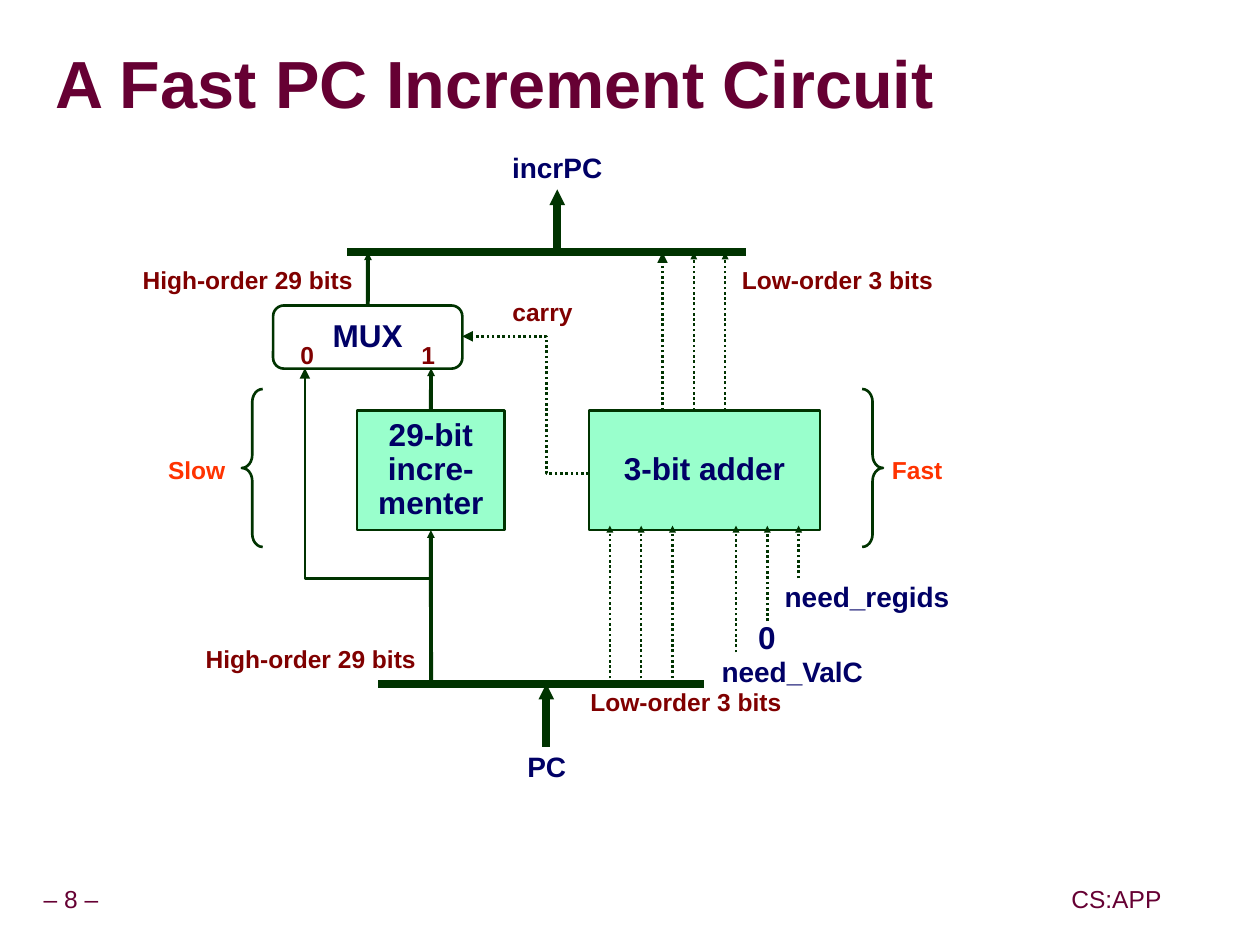
from dataclasses import dataclass

from lxml.etree import SubElement
from pptx import Presentation
from pptx.dml.color import RGBColor
from pptx.enum.dml import MSO_LINE as Dash
from pptx.enum.shapes import MSO_CONNECTOR as Connector, MSO_SHAPE as Preset
from pptx.enum.text import MSO_ANCHOR as Anchor, MSO_AUTO_SIZE as AutoSize, PP_ALIGN as Align
from pptx.oxml import parse_xml
from pptx.oxml.ns import nsdecls, qn
from pptx.util import Cm, Pt


@dataclass(frozen=True)
class Theme:
    font: str = "Arial"
    heading: RGBColor = RGBColor(0x66, 0x00, 0x33)
    signal: RGBColor = RGBColor(0x00, 0x00, 0x66)
    wire: RGBColor = RGBColor(0x00, 0x33, 0x00)
    block: RGBColor = RGBColor(0x99, 0xFF, 0xCC)
    bits: RGBColor = RGBColor(0x80, 0x00, 0x00)
    speed: RGBColor = RGBColor(0xFF, 0x33, 0x00)
    title_size: int = 38
    block_size: int = 18
    signal_size: int = 16
    note_size: int = 14
    thin: float = 1.5
    medium: float = 2.25
    thick: float = 4.5


THEME = Theme()
TOP, BOTTOM = 0, 2
PITCH = 0.63
UPPER_BUS, LOWER_BUS = 5.08, 13.76


def write(frame, text, size=THEME.note_size, color=THEME.bits, bold=True, align=Align.CENTER,
          anchor=Anchor.TOP, wrap=False, inset=0.13, spacing=0.9):
    frame.auto_size = AutoSize.NONE
    frame.word_wrap = wrap
    frame.vertical_anchor = anchor
    frame.margin_left = frame.margin_right = Cm(inset)
    frame.margin_top = frame.margin_bottom = Cm(inset)
    for index, line in enumerate(text.split("\n")):
        para = frame.paragraphs[0] if index == 0 else frame.add_paragraph()
        para.alignment = align
        para.line_spacing = spacing
        span = para.add_run()
        span.text = line
        span.font.name = THEME.font
        span.font.size = Pt(size)
        span.font.bold = bold
        span.font.color.rgb = color


def add_title(page, text):
    title = page.shapes.title
    title.left, title.top, title.width, title.height = Cm(1.12), Cm(0.69), Cm(24.18), Cm(2.16)
    write(title.text_frame, text, size=THEME.title_size, color=THEME.heading, align=Align.LEFT,
          anchor=Anchor.MIDDLE, wrap=True, inset=0, spacing=0.87)
    span = title.text_frame.paragraphs[0].runs[0]
    shadow = parse_xml(
        f'<a:effectLst {nsdecls("a")}><a:outerShdw dist="56000" dir="2700000">'
        '<a:srgbClr val="969696"/></a:outerShdw></a:effectLst>')
    span.font._element.find(qn("a:solidFill")).addnext(shadow)


def add_label(page, text, left, top, width, size=THEME.note_size, **look):
    box = page.shapes.add_textbox(Cm(left), Cm(top), Cm(width), Cm(size * 0.055))
    write(box.text_frame, text, size=size, **look)


def style_line(line, width, dotted=False, head=None):
    line.color.rgb = THEME.wire
    line.width = Pt(width)
    if dotted:
        line.dash_style = Dash.ROUND_DOT
    if head:
        SubElement(line._get_or_add_ln(), qn("a:tailEnd"), type="triangle", w=head, len=head)


def add_wire(page, start, end, width=THEME.thin, dotted=False, head="sm", source=None, target=None):
    wire = page.shapes.add_connector(
        Connector.STRAIGHT, Cm(start[0]), Cm(start[1]), Cm(end[0]), Cm(end[1]))
    if source:
        wire.begin_connect(source, TOP)
    if target:
        wire.end_connect(target, BOTTOM)
    style_line(wire.line, width, dotted, head)
    SubElement(wire._element.spPr, qn("a:effectLst"))


def add_bent_wire(page, points, dotted=False):
    start, *rest = [(Cm(x), Cm(y)) for x, y in points]
    builder = page.shapes.build_freeform(*start)
    builder.add_line_segments(rest, close=False)
    wire = builder.convert_to_shape()
    wire.shadow.inherit = False
    wire.fill.background()
    style_line(wire.line, THEME.thin, dotted, "med")


def add_outline(page, preset, left, top, width, height, fill=None, adjust=None):
    shape = page.shapes.add_shape(preset, Cm(left), Cm(top), Cm(width), Cm(height))
    shape.shadow.inherit = False
    if adjust is not None:
        shape.adjustments[0] = adjust
    if fill is None:
        shape.fill.background()
    else:
        shape.fill.solid()
        shape.fill.fore_color.rgb = fill
    style_line(shape.line, THEME.thin)
    return shape


def add_block(page, text, *area, preset=Preset.RECTANGLE, **look):
    block = add_outline(page, preset, *area, **look)
    write(block.text_frame, text, size=THEME.block_size, color=THEME.signal, anchor=Anchor.MIDDLE)
    return block


def add_wires(page):
    for index in range(3):
        low_bit = 12.28 + PITCH * index
        need = 14.82 + PITCH * index
        result = 13.34 + PITCH * index
        add_wire(page, (low_bit, LOWER_BUS), (low_bit, 10.58), dotted=True)
        add_wire(page, (need, (13.13, 12.5, 11.64)[index]), (need, 10.58), dotted=True)
        add_wire(page, (result, 8.26), (result, UPPER_BUS), dotted=True,
                 head="sm" if index else "med")
    add_wire(page, (7.62, LOWER_BUS), (14.18, LOWER_BUS), THEME.thick, head=None)
    add_wire(page, (11, 15.03), (11, LOWER_BUS), THEME.thick)
    add_wire(page, (6.99, UPPER_BUS), (15.03, UPPER_BUS), THEME.thick, head=None)
    add_wire(page, (11.22, UPPER_BUS), (11.22, 3.81), THEME.thick)
    add_bent_wire(page, [(8.68, 11.64), (6.14, 11.64), (6.14, 7.41)])
    add_bent_wire(page, [(11.86, 9.53), (11, 9.53), (11, 6.77), (9.31, 6.77)], dotted=True)


def add_labels(page):
    signal = dict(size=THEME.signal_size, color=THEME.signal)
    add_label(page, "need_ValC", 14.4, 13.13, 3.12, align=Align.LEFT, **signal)
    add_label(page, "need_regids", 15.67, 11.61, 3.58, align=Align.LEFT, **signal)
    add_label(page, "0", 15.14, 12.4, 0.61, size=THEME.block_size, color=THEME.signal)
    add_label(page, "PC", 9.32, 15.04, 3.38, wrap=True, **signal)
    add_label(page, "incrPC", 9.53, 2.97, 3.38, wrap=True, **signal)
    for text, left, top, width in (
        ("High-order 29 bits", 4.01, 12.9, 4.5),
        ("Low-order 3 bits", 11.76, 13.77, 4.11),
        ("High-order 29 bits", 2.74, 5.28, 4.5),
        ("Low-order 3 bits", 14.81, 5.28, 4.11),
        ("0", 5.92, 6.78, 0.53),
        ("1", 8.36, 6.78, 0.53),
        ("carry", 10.19, 5.92, 1.47),
    ):
        add_label(page, text, left, top, width)
    for text, left, align, brace, brace_left in (
        ("Slow", 2.59, Align.RIGHT, Preset.LEFT_BRACE, 4.87),
        ("Fast", 17.83, Align.LEFT, Preset.RIGHT_BRACE, 17.36),
    ):
        add_outline(page, brace, brace_left, 7.83, 0.42, 3.18, adjust=0.62)
        add_label(page, text, left, 9.09, 2.08, color=THEME.speed, align=align, wrap=True)
    for text, left, width in (("– 8 –", 0.73, 1.4), ("CS:APP", 21.44, 2.08)):
        add_label(page, text, left, 17.74, width, color=THEME.heading, bold=False,
                  anchor=Anchor.MIDDLE)


def main():
    deck = Presentation()
    deck.slide_width, deck.slide_height = Cm(25.37), Cm(19.02)
    page = deck.slides.add_slide(deck.slide_layouts[5])
    add_title(page, "A Fast PC Increment Circuit")
    add_block(page, "3-bit adder", 11.86, 8.26, 4.65, 2.41, fill=THEME.block)
    incrementer = add_block(page, "29-bit\nincre-\nmenter", 7.19, 8.26, 2.97, 2.41,
                            fill=THEME.block)
    mux = add_block(page, "MUX", 5.5, 6.15, 3.81, 1.27, preset=Preset.ROUNDED_RECTANGLE,
                    adjust=0.17)
    add_wire(page, (8.68, LOWER_BUS), (8.68, 10.67), THEME.medium, target=incrementer)
    add_wire(page, (8.68, 8.26), (8.68, 7.41), THEME.medium, source=incrementer)
    add_wire(page, (7.41, 6.15), (7.41, UPPER_BUS), THEME.medium, source=mux)
    add_wires(page)
    add_labels(page)
    deck.save("out.pptx")


if __name__ == "__main__":
    main()
